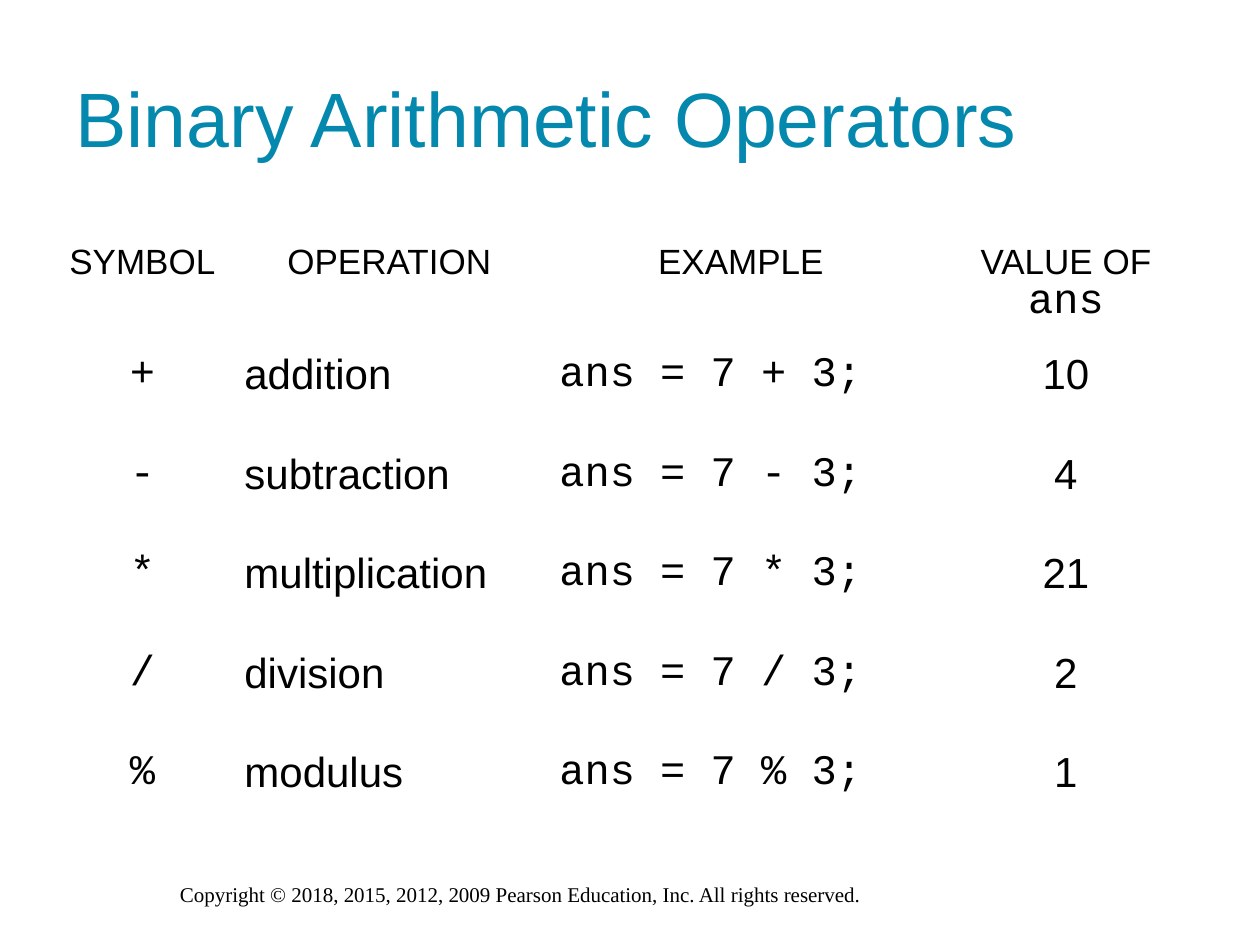
import pptx
import pptx.util
import pptx.dml.color
import pptx.enum.text

Inches = pptx.util.Inches
ALIGN = pptx.enum.text.PP_ALIGN
ANCHOR = pptx.enum.text.MSO_ANCHOR
FIT = pptx.enum.text.MSO_AUTO_SIZE
HUES = {"title": "0488AE", "text": "000000"}
SANS, MONO, SERIF = "Arial", "Courier New", "Times New Roman"


def write(para, text, size=24, font=SANS, hue="text", align=ALIGN.LEFT, lines=None):
    para.alignment = align
    if lines:
        para.line_spacing = lines
    run = para.add_run()
    run.text = text
    run.font.size = pptx.util.Pt(size)
    run.font.name = font
    run.font.bold = False
    run.font.color.rgb = pptx.dml.color.RGBColor.from_string(HUES[hue])


class Deck:
    def __init__(self):
        self.file = pptx.Presentation()
        self.file.slide_width = Inches(10)
        self.file.slide_height = Inches(7.5)
        self.slide = self.file.slides.add_slide(self.file.slide_layouts[5])

    def title(self, text, left, top, width, height):
        shape = self.slide.shapes.title
        shape.left, shape.top = Inches(left), Inches(top)
        shape.width, shape.height = Inches(width), Inches(height)
        frame = shape.text_frame
        frame.auto_size = FIT.NONE
        frame.vertical_anchor = ANCHOR.MIDDLE
        write(frame.paragraphs[0], text, size=44, hue="title")

    def note(self, text, left, top, width, height):
        box = self.slide.shapes.add_textbox(
            Inches(left), Inches(top), Inches(width), Inches(height))
        box.text_frame.word_wrap = True
        write(box.text_frame.paragraphs[0], text, size=12, font=SERIF)

    def table(self, heads, rows, left, top, widths, heights):
        grid = self.slide.shapes.add_table(
            len(rows) + 1, len(heads), Inches(left), Inches(top),
            Inches(sum(widths)), Inches(sum(heights))).table
        grid.first_row = grid.horz_banding = False
        for col, width in zip(grid.columns, widths):
            col.width = Inches(width)
        for row, height in zip(grid.rows, heights):
            row.height = Inches(height)
        for cell in grid.iter_cells():
            cell.fill.background()
        for col, head in enumerate(heads):
            para = grid.cell(0, col).text_frame.paragraphs[0]
            for text, form in head:
                write(para, text, align=ALIGN.CENTER, lines=0.85, **form)
        fonts = [MONO, SANS, MONO, SANS]
        sides = [ALIGN.CENTER, ALIGN.LEFT, ALIGN.LEFT, ALIGN.CENTER]
        for row, texts in enumerate(rows, 1):
            for col, text in enumerate(texts):
                para = grid.cell(row, col).text_frame.paragraphs[0]
                write(para, text, font=fonts[col], align=sides[col])


def main():
    deck = Deck()
    deck.note("Copyright © 2018, 2015, 2012, 2009 Pearson Education, Inc. "
              "All rights reserved.", 1.33, 6.95, 5.75, 0.3)
    deck.title("Binary Arithmetic Operators", 0.5, 0.3, 9, 1.25)
    names = ["SYMBOL", "OPERATION", "EXAMPLE", "VALUE OF "]
    heads = [[(name, {"size": 20})] for name in names]
    heads[-1].append(("ans", {"font": MONO}))
    facts = [("+", "addition", "10"), ("-", "subtraction", "4"),
             ("*", "multiplication", "21"), ("/", "division", "2"),
             ("%", "modulus", "1")]
    rows = [(sign, name, f"ans = 7 {sign} 3;", value)
            for sign, name, value in facts]
    deck.table(heads, rows, 0.42, 1.92, [1.42, 2.5, 3.08, 2.08],
               [0.82] + [0.79] * len(rows))
    deck.file.save("out.pptx")


if __name__ == "__main__":
    main()
